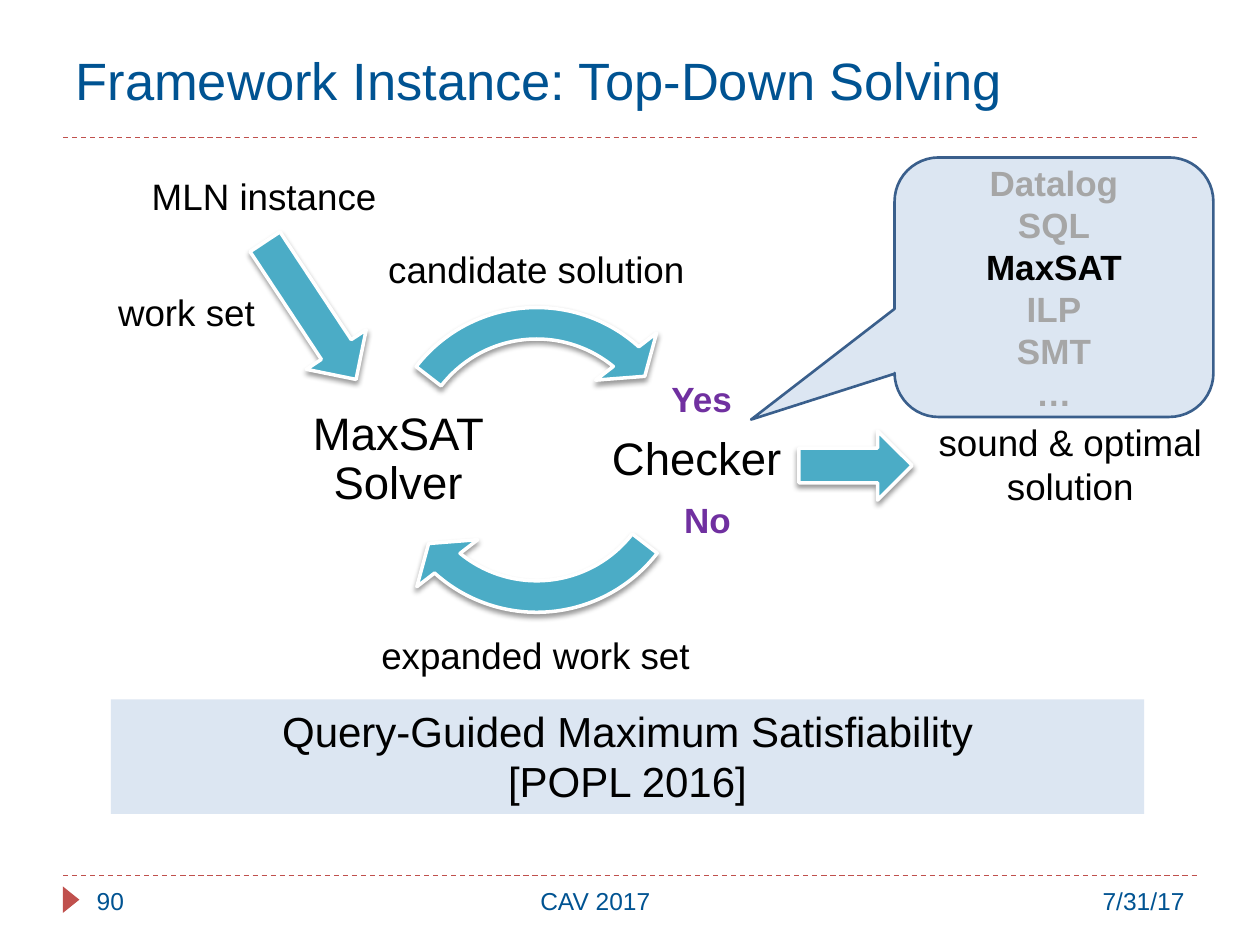
import pptx
import pptx.util
import pptx.oxml
from pptx.dml.color import RGBColor
from pptx.enum.dml import MSO_LINE
from pptx.enum.shapes import MSO_CONNECTOR, MSO_SHAPE
from pptx.enum.text import MSO_ANCHOR, PP_ALIGN
from pptx.oxml.ns import nsdecls

Pt = pptx.util.Pt

FONT = "Arial"
NAVY = RGBColor(0x00, 0x53, 0x92)
RED = RGBColor(0xC0, 0x50, 0x4D)
PALE = RGBColor(0xDC, 0xE6, 0xF2)
EDGE = RGBColor(0x3A, 0x5F, 0x8C)
TEAL = RGBColor(0x4B, 0xAC, 0xC6)
PURPLE = RGBColor(0x70, 0x30, 0xA0)
GREY = RGBColor(0xA6, 0xA6, 0xA6)
BLACK = RGBColor(0, 0, 0)
WHITE = RGBColor(0xFF, 0xFF, 0xFF)

LEFT, CENTER, RIGHT = PP_ALIGN.LEFT, PP_ALIGN.CENTER, PP_ALIGN.RIGHT

TITLE = "Framework Instance: Top-Down Solving"
RULES_Y = [78.5, 500.4]

# text, (left, top, width, height), alignment
FOOTERS = [
    ("7/31/17", (504, 502.6, 180, 28.8), RIGHT),
    ("90", (48.2, 502.6, 64, 28.8), LEFT),
    ("CAV 2017", (112.3, 502.6, 455.8, 28.8), CENTER),
]
STEPS = [
    ("Checker", (344.9, 214.6, 106.6, 97.2)),
    ("MaxSAT Solver", (174.2, 218.9, 106.6, 88.6)),
]
LABELS = [
    ("work set", (46.8, 162, 119.5, 33.8)),
    ("expanded work set", (202.3, 357.8, 207.4, 32.4)),
    ("candidate solution", (206.5, 137.5, 200, 33.8)),
    ("sound & optimal solution", (501.8, 236.2, 219.6, 58.3)),
]
ANSWERS = [
    ("Yes", (376.6, 212.4, 54, 31.7)),
    ("No", (383.8, 281.5, 54, 32.4)),
]
# text, box, fill, size
PANELS = [
    ("Query-Guided Maximum Satisfiability\n[POPL 2016]", (63.4, 399.6, 590.4, 65.5), PALE, 24),
    ("MLN instance", (31, 95.8, 239.8, 32.4), WHITE, 21),
]
LANGUAGES = ["Datalog", "SQL", "MaxSAT", "ILP", "SMT", "…"]
CHOSEN = "MaxSAT"

CYCLE = (206.6, 162.7, 200.2, 200.2)
# shape, box, rotation, adjustments
ARROWS = [
    (MSO_SHAPE.CIRCULAR_ARROW, CYCLE, 0, [0.09, 6.85, 78.52, 22.64, 0.11]),
    (MSO_SHAPE.CIRCULAR_ARROW, CYCLE, 0, [0.09, 6.85, 186.52, 130.64, 0.11]),
    (MSO_SHAPE.RIGHT_ARROW, (130.3, 157, 94.3, 41), 56.5, []),
    (MSO_SHAPE.RIGHT_ARROW, (456.5, 246.2, 64.8, 39.6), 0, []),
]

SHADOW = (
    f'<a:effectLst {nsdecls("a")}>'
    '<a:outerShdw blurRad="38100" dist="25400" dir="5400000" rotWithShape="0">'
    '<a:srgbClr val="000000"><a:alpha val="40000"/></a:srgbClr>'
    '</a:outerShdw></a:effectLst>'
)


def write(sp, text, size, color=BLACK, align=CENTER, anchor=MSO_ANCHOR.TOP, bold=False):
    tf = sp.text_frame
    tf.text = text
    tf.word_wrap = True
    tf.vertical_anchor = anchor
    for p in tf.paragraphs:
        p.alignment = align
        for r in p.runs:
            r.font.name = FONT
            r.font.size = Pt(size)
            r.font.bold = bold
            r.font.color.rgb = color
    return tf


def add_text(s, text, box, size, **style):
    return write(s.shapes.add_textbox(*map(Pt, box)), text, size, **style)


def add_shape(s, kind, box, fill, line=None, width=1):
    sp = s.shapes.add_shape(kind, *map(Pt, box))
    sp.shadow.inherit = False
    sp.fill.solid()
    sp.fill.fore_color.rgb = fill
    if line is None:
        sp.line.fill.background()
    else:
        sp.line.color.rgb = line
        sp.line.width = Pt(width)
    return sp


def set_adjustments(sp, values):
    for i, value in enumerate(values):
        sp.adjustments[i] = value


def add_frame(s):
    """Title, dashed rules and footer."""
    for y in RULES_Y:
        rule = s.shapes.add_connector(MSO_CONNECTOR.STRAIGHT, Pt(36), Pt(y), Pt(684), Pt(y))
        rule.line.color.rgb = RED
        rule.line.width = Pt(0.75)
        rule.line.dash_style = MSO_LINE.DASH
        rule._element.spPr.append(pptx.oxml.parse_xml(f'<a:effectLst {nsdecls("a")}/>'))
    marker = add_shape(s, MSO_SHAPE.ISOSCELES_TRIANGLE, (33.1, 509.4, 15.1, 9.4), RED)
    marker.rotation = 90

    title = s.shapes.title
    title.left, title.top, title.width, title.height = map(Pt, (36, 12.2, 648, 67))
    write(title, TITLE, 30, NAVY, LEFT, MSO_ANCHOR.MIDDLE)
    for text, box, align in FOOTERS:
        add_text(s, text, box, 14, color=NAVY, align=align)


def add_callout(s):
    sp = add_shape(s, MSO_SHAPE.ROUNDED_RECTANGULAR_CALLOUT,
                   (511.2, 90, 182.2, 148.3), PALE, EDGE, 1.5)
    set_adjustments(sp, [-0.95, 0.51, 0.17])
    tf = write(sp, "\n".join(LANGUAGES), 20, GREY, anchor=MSO_ANCHOR.MIDDLE, bold=True)
    tf.paragraphs[LANGUAGES.index(CHOSEN)].runs[0].font.color.rgb = BLACK


def add_cycle(s):
    for kind, box, rotation, adjustments in ARROWS:
        sp = add_shape(s, kind, box, TEAL, WHITE, 2)
        sp.rotation = rotation
        set_adjustments(sp, adjustments)
        spPr = sp._element.spPr
        spPr.replace(spPr.find(pptx.oxml.ns.qn("a:effectLst")), pptx.oxml.parse_xml(SHADOW))
    for text, box in STEPS:
        tf = add_text(s, text, box, 26, anchor=MSO_ANCHOR.MIDDLE)
        tf.margin_left = tf.margin_right = tf.margin_top = tf.margin_bottom = Pt(2.6)
        tf.paragraphs[0].line_spacing = 0.9
    for text, box in LABELS:
        add_text(s, text, box, 21)
    for text, box in ANSWERS:
        add_text(s, text, box, 20, color=PURPLE, align=LEFT, bold=True)


def main():
    prs = pptx.Presentation()
    prs.slide_width, prs.slide_height = Pt(720), Pt(540)
    s = prs.slides.add_slide(prs.slide_layouts[5])
    add_frame(s)
    for text, box, fill, size in PANELS:
        write(add_shape(s, MSO_SHAPE.RECTANGLE, box, fill), text, size)
    add_callout(s)
    add_cycle(s)
    prs.save("out.pptx")


if __name__ == "__main__":
    main()
